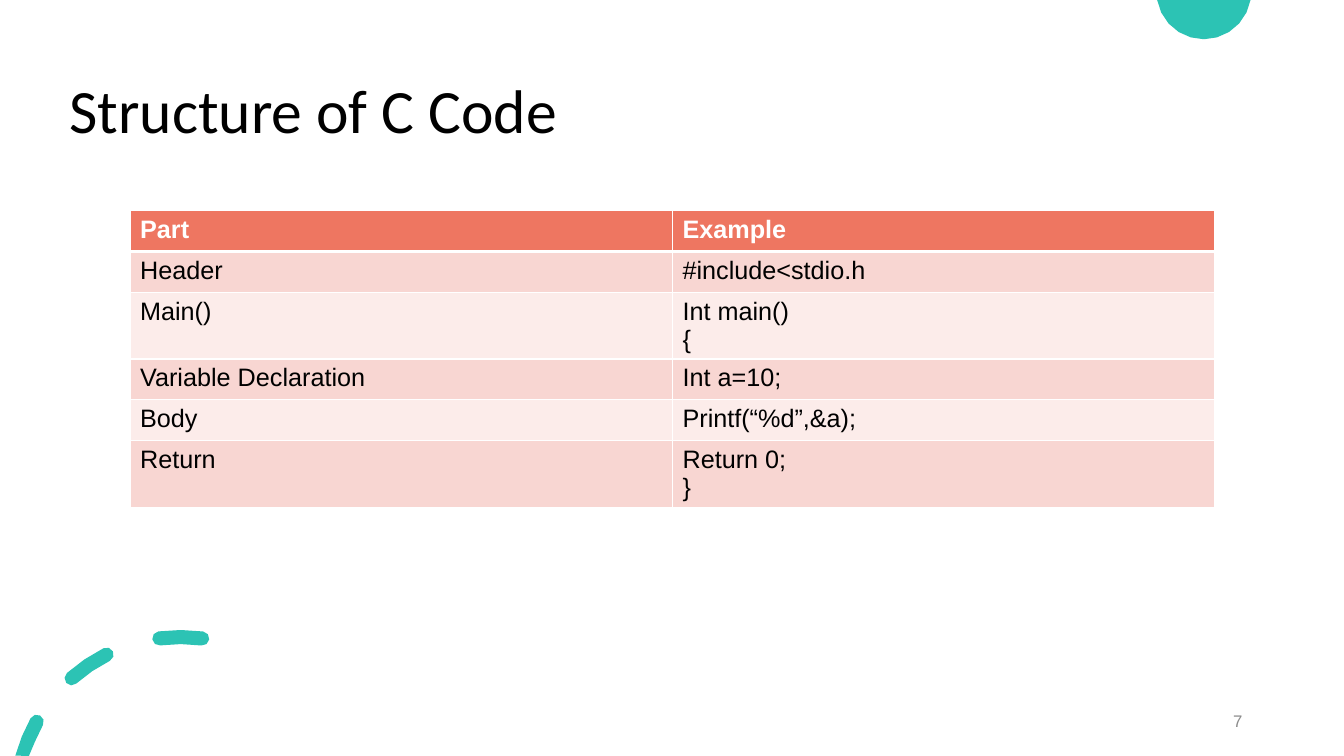
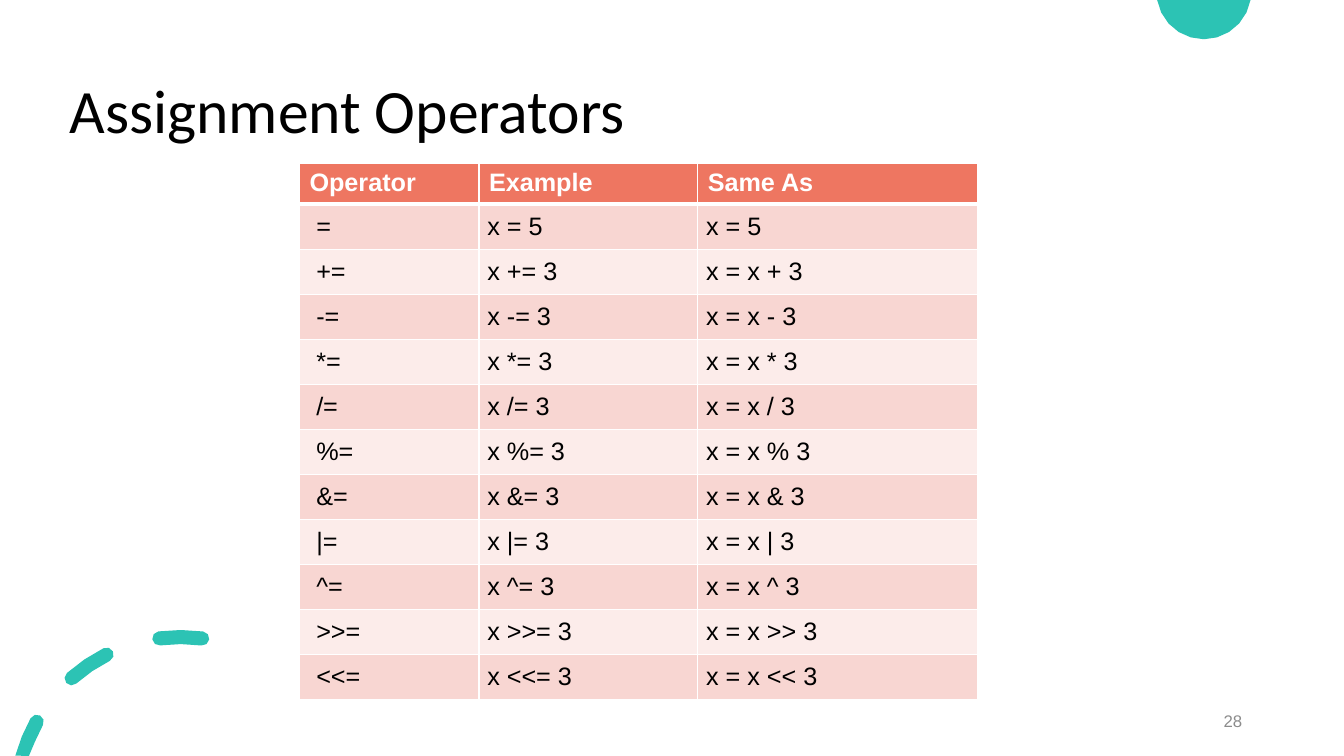
from dataclasses import dataclass
from math import cos, radians, sin

from lxml.etree import SubElement
from pptx import Presentation
from pptx.dml.color import RGBColor
from pptx.enum.text import MSO_ANCHOR, PP_ALIGN
from pptx.oxml.ns import qn
from pptx.util import Inches, Pt

COLORS = {
    "accent": "2CC3B4",
    "header": "EE7661",
    "band_dark": "F8D6D2",
    "band_light": "FCECEA",
    "white": "FFFFFF",
    "black": "000000",
    "gray": "8C8C8C",
}
SLIDE_WIDTH, SLIDE_HEIGHT = 13.33, 7.5
ROW_HEIGHT = 29.2 / 72
DEFAULT_INSETS = (0.1, 0.05, 0.1, 0.05)
WIDE_INSET = 1 / 12

Point = tuple[float, float]
Insets = tuple[float, float, float, float]


@dataclass(frozen=True)
class TablePage:
    title: str
    number: int
    left: float
    top: float
    columns: tuple[float, ...]
    rows: list[tuple[str, ...]]
    first_insets: Insets = DEFAULT_INSETS
    other_insets: Insets = DEFAULT_INSETS


@dataclass(frozen=True)
class Dash:
    start: float
    end: float


ARITHMETIC_SIGNS = ["+", "-", "*", "/", "%", "&", "|", "^", ">>", "<<"]

PAGES = [
    TablePage(
        "Structure of C Code", 7, 1.29, 2.09, (5.38, 5.38),
        [
            ("Part", "Example"),
            ("Header", "#include<stdio.h"),
            ("Main()", "Int main()\n{"),
            ("Variable Declaration", "Int a=10;"),
            ("Body", "Printf(“%d”,&a);"),
            ("Return", "Return 0;\n}"),
        ],
    ),
    TablePage(
        "Assignment Operators", 28, 2.97, 1.62, (1.78, 2.17, 2.78),
        [("Operator", "Example", "Same As"), ("=", "x = 5", "x = 5")]
        + [(f"{sign}=", f"x {sign}= 3", f"x = x {sign} 3") for sign in ARITHMETIC_SIGNS],
        first_insets=(2 * WIDE_INSET, WIDE_INSET, WIDE_INSET, WIDE_INSET),
        other_insets=(WIDE_INSET,) * 4,
    ),
]

# Dashes of the corner ring, in degrees clockwise from the top
RING_CENTER: Point = (1.79, 7.95)
RING_RADIUS, DASH_HALF_WIDTH = 1.63, 0.07
DASHES = [Dash(-74.5, -61), Dash(-41.5, -26.7), Dash(-7.4, 7.6)]


def color(name: str) -> RGBColor:
    return RGBColor.from_string(COLORS[name])


def write_text(frame, text: str, *, size: float, font: str = "Arial",
               fill: str = "black", bold: bool = False, align=PP_ALIGN.LEFT,
               line_spacing: float | None = None) -> None:
    """Fill a text frame, one paragraph for each line of text."""
    for index, line in enumerate(text.split("\n")):
        para = frame.add_paragraph() if index else frame.paragraphs[0]
        para.alignment = align
        if line_spacing:
            para.line_spacing = line_spacing
        span = para.add_run()
        span.text = line
        span.font.name = font
        span.font.size = Pt(size)
        span.font.bold = bold
        span.font.color.rgb = color(fill)


# Decoration
def arc(center: Point, radius: float, start: float, end: float, steps: int) -> list[Point]:
    angles = [radians(start + (end - start) * step / steps) for step in range(steps + 1)]
    return [(center[0] + radius * sin(angle), center[1] - radius * cos(angle))
            for angle in angles]


def dash_outline(dash: Dash) -> list[Point]:
    """Outline of a round-ended dash, cut at the bottom of the slide."""
    start_center, end_center = arc(RING_CENTER, RING_RADIUS, dash.start, dash.end, 1)
    points = (
        arc(RING_CENTER, RING_RADIUS + DASH_HALF_WIDTH, dash.start, dash.end, 2)
        + arc(end_center, DASH_HALF_WIDTH, dash.end, dash.end + 180, 4)[1:-1]
        + arc(RING_CENTER, RING_RADIUS - DASH_HALF_WIDTH, dash.end, dash.start, 2)
    )
    start_cap = arc(start_center, DASH_HALF_WIDTH, dash.start + 180, dash.start + 360, 4)
    points += [point for point in start_cap[1:-1] if point[1] < SLIDE_HEIGHT]
    return [(x, min(y, SLIDE_HEIGHT)) for x, y in points]


def draw_outlines(page, outlines: list[list[Point]]):
    builder = None
    for outline in outlines:
        points = [(Inches(x), Inches(y)) for x, y in outline]
        if builder is None:
            builder = page.shapes.build_freeform(*points[0])
        else:
            builder.move_to(*points[0])
        builder.add_line_segments(points[1:], close=True)
    shape = builder.convert_to_shape()
    shape.shadow.inherit = False
    shape.fill.solid()
    shape.fill.fore_color.rgb = color("accent")
    shape.line.fill.background()
    return shape


def decorate_layout(layout, page) -> None:
    """Draw the shared decoration on a page and move it to the layout."""
    top_disc = arc((11.94, -0.08), 0.47, 100, 260, 10)
    for outlines in ([top_disc], [dash_outline(dash) for dash in DASHES]):
        shape = draw_outlines(page, outlines)
        layout.shapes.element.insert_element_before(shape.element, "p:extLst")


# Table
def set_borders(cell, bottom_width: float) -> None:
    properties = cell._tc.get_or_add_tcPr()
    for side in "LRTB":
        width = bottom_width if side == "B" else 1
        line = SubElement(properties, qn(f"a:ln{side}"), w=str(Pt(width)))
        fill = SubElement(line, qn("a:solidFill"))
        SubElement(fill, qn("a:srgbClr"), val=COLORS["white"])


def format_cell(cell, text: str, insets: Insets, fill: str, is_header: bool) -> None:
    set_borders(cell, 3 if is_header else 1)
    cell.fill.solid()
    cell.fill.fore_color.rgb = color(fill)
    (cell.margin_left, cell.margin_top,
     cell.margin_right, cell.margin_bottom) = map(Inches, insets)
    write_text(cell.text_frame, text, size=18, bold=is_header,
               fill="white" if is_header else "black")


def draw_table(page, content: TablePage) -> None:
    table = page.shapes.add_table(
        len(content.rows), len(content.columns),
        Inches(content.left), Inches(content.top),
        Inches(sum(content.columns)), Inches(ROW_HEIGHT * len(content.rows)),
    ).table
    for column, width in zip(table.columns, content.columns):
        column.width = Inches(width)
    for row_index, texts in enumerate(content.rows):
        table.rows[row_index].height = Inches(ROW_HEIGHT)
        is_header = row_index == 0
        band = "band_dark" if row_index % 2 else "band_light"
        for column_index, text in enumerate(texts):
            insets = content.other_insets if column_index else content.first_insets
            format_cell(table.cell(row_index, column_index), text,
                        DEFAULT_INSETS if is_header else insets,
                        "header" if is_header else band, is_header)


# Page
def place_title(layout) -> None:
    title = layout.placeholders[0]
    title.left, title.top = Inches(0.59), Inches(0.4)
    title.width, title.height = Inches(11.5), Inches(1.45)
    title.text_frame.vertical_anchor = MSO_ANCHOR.MIDDLE


def fill_page(page, content: TablePage) -> None:
    write_text(page.shapes.title.text_frame, content.title, size=44,
               font="Calibri", line_spacing=0.9)
    draw_table(page, content)
    box = page.shapes.add_textbox(Inches(9.42), Inches(6.95), Inches(3), Inches(0.4))
    box.text_frame.word_wrap = True
    box.text_frame.vertical_anchor = MSO_ANCHOR.MIDDLE
    write_text(box.text_frame, str(content.number), size=12, fill="gray",
               align=PP_ALIGN.RIGHT)


def main() -> None:
    deck = Presentation()
    deck.slide_width, deck.slide_height = Inches(SLIDE_WIDTH), Inches(SLIDE_HEIGHT)
    layout = deck.slide_layouts.get_by_name("Title Only")
    place_title(layout)
    pages = [deck.slides.add_slide(layout) for _ in PAGES]
    decorate_layout(layout, pages[0])
    for page, content in zip(pages, PAGES):
        fill_page(page, content)
    deck.save("out.pptx")


if __name__ == "__main__":
    main()
